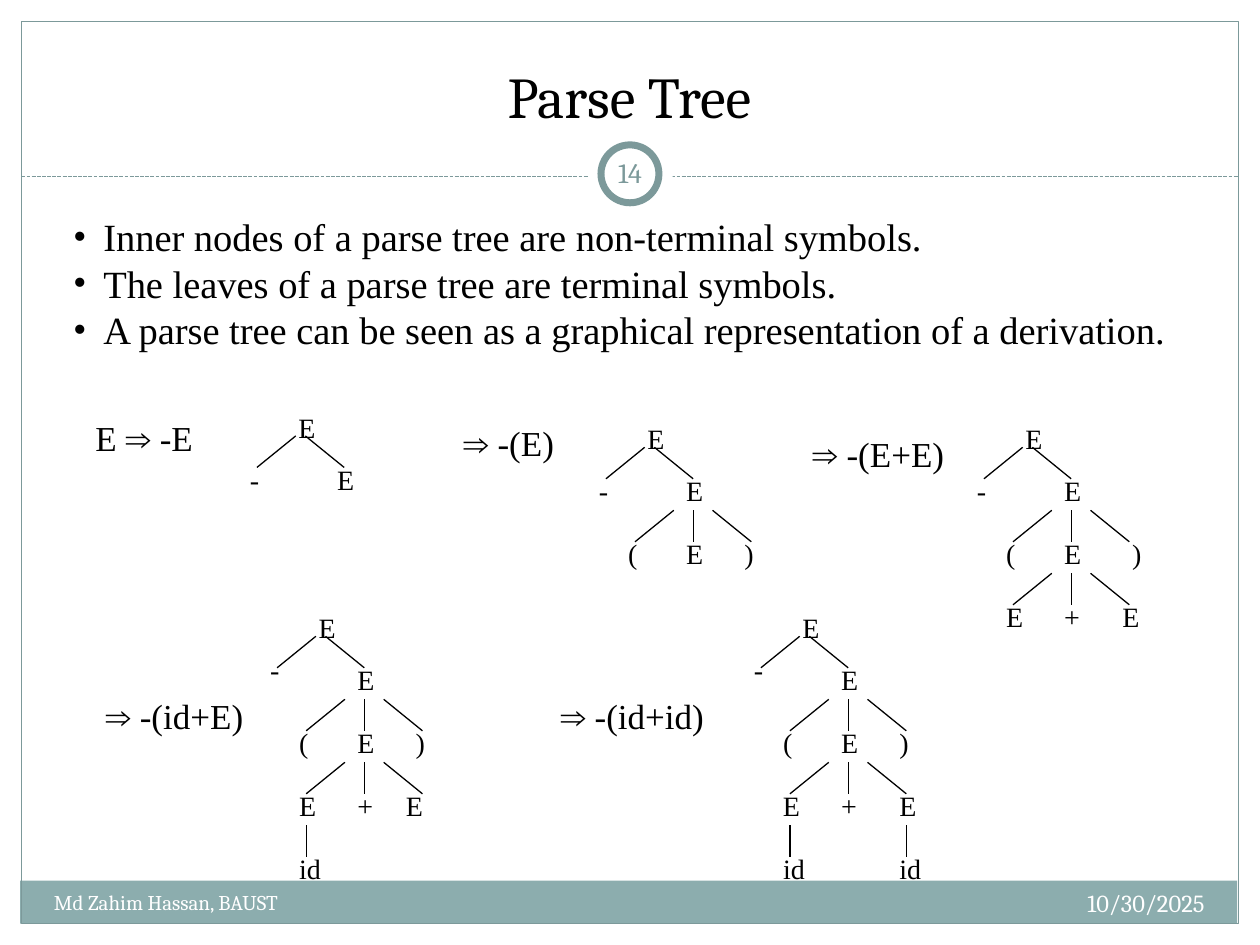
"""Build the parse tree slide: rules of a parse tree and five derivation steps."""
from lxml.etree import SubElement
from pptx import Presentation
from pptx.dml.color import RGBColor
from pptx.enum.dml import MSO_LINE
from pptx.enum.shapes import MSO_CONNECTOR as CONN, MSO_SHAPE as SHAPE
from pptx.enum.text import MSO_ANCHOR as ANCHOR, MSO_AUTO_SIZE as AUTO, PP_ALIGN as ALIGN
from pptx.oxml.ns import qn
from pptx.util import Inches, Pt

BLACK = RGBColor(0x00, 0x00, 0x00)
WHITE = RGBColor(0xFF, 0xFF, 0xFF)
TEAL = RGBColor(0x7C, 0x99, 0x9A)
BAND = RGBColor(0x8C, 0xAD, 0xAE)

prs = Presentation()
prs.slide_width, prs.slide_height = Inches(10), Inches(7.5)
X, ROW = prs.slide_width / 100, prs.slide_height / 30
COL = prs.slide_width / 130


def write(sp, lines, size, name="Times New Roman", color=BLACK, align=ALIGN.LEFT,
          anchor=ANCHOR.TOP, wrap=False):
    tf = sp.text_frame
    frame = {"word_wrap": wrap, "vertical_anchor": anchor,
             "auto_size": AUTO.NONE if wrap else AUTO.SHAPE_TO_FIT_TEXT}
    for key, value in frame.items():
        setattr(tf, key, value)
    tf.text = "\n".join(lines)
    for p in tf.paragraphs:
        p.alignment, p.space_before = align, Pt(0)
        for key, value in {"size": Pt(size), "name": name}.items():
            setattr(p.runs[0].font, key, value)
        p.runs[0].font.color.rgb = color


def add_line(shapes, x1, y1, x2, y2, color=BLACK):
    sp = shapes.add_connector(CONN.STRAIGHT, *map(round, (x1, y1, x2, y2)))
    SubElement(sp._element.spPr, qn("a:effectLst"))
    sp.line.width = Pt(0.75)
    sp.line.color.rgb = color
    return sp


s = prs.slides.add_slide(prs.slide_layouts[1])
title, body = s.placeholders

FRAME = [
    (SHAPE.RECTANGLE, 0, 0, 100, 6.08, WHITE, None, 0),
    (SHAPE.RECTANGLE, 0, 0, 1.7, 30, WHITE, None, 0),
    (SHAPE.RECTANGLE, 98.3, 0, 1.7, 30, WHITE, None, 0),
    (SHAPE.RECTANGLE, 1.6, 27.96, 96.6, 1.36, BAND, None, 0),
    (SHAPE.RECTANGLE, 1.7, 0.68, 96.6, 28.64, None, TEAL, 0.75),
    (SHAPE.OVAL, 46.7, 4.2, 6.7, 2.68, WHITE, None, 0),
    (SHAPE.OVAL, 47.7, 4.6, 4.6, 1.84, WHITE, TEAL, 4),
]
for kind, x, y, w, h, fill, line, width in FRAME:
    if kind == SHAPE.OVAL and line is None:
        rule = add_line(s.shapes, 1.7 * X, 5.6 * ROW, 98.3 * X, 5.6 * ROW, TEAL)
        rule.line.dash_style = MSO_LINE.SQUARE_DOT
    sp = s.shapes.add_shape(kind, *map(round, (x * X, y * ROW, w * X, h * ROW)))
    sp.shadow.inherit = False
    if fill is None:
        sp.fill.background()
    else:
        sp.fill.solid()
        sp.fill.fore_color.rgb = fill
    if line is None:
        sp.line.fill.background()
    else:
        sp.line.color.rgb = line
        sp.line.width = Pt(width)

for sp, box in ((title, (3.3, 1, 93.3, 3.32)), (body, (4.8, 6.56, 89.7, 4.84))):
    s.shapes._spTree.append(sp._element)
    sp.left, sp.top, sp.width, sp.height = (
        round(v * unit) for v, unit in zip(box, (X, ROW, X, ROW)))
write(title, ["Parse Tree"], 33, "Cambria", align=ALIGN.CENTER, anchor=ANCHOR.BOTTOM, wrap=True)

RULES = ["Inner nodes of a parse tree are non-terminal symbols.",
         "The leaves of a parse tree are terminal symbols.",
         "A parse tree can be seen as a graphical representation of a derivation."]
write(body, RULES, 22)
for p in body.text_frame.paragraphs:
    p.line_spacing = Pt(26.6)
    pPr = p._p.get_or_add_pPr()
    pPr.set("marL", str(Inches(0.24)))
    pPr.set("indent", str(-Inches(0.24)))
    SubElement(pPr, qn("a:buFont"), typeface="Times New Roman")
    SubElement(pPr, qn("a:buChar"), char="•")

CAMBRIA = {"name": "Cambria", "color": WHITE, "wrap": True}
NUMBER = {**CAMBRIA, "color": TEAL, "align": ALIGN.CENTER, "anchor": ANCHOR.MIDDLE}
TEXTS = [
    ("10/30/2025", 63.3, 28, 33.3, 1.6, 14, {**CAMBRIA, "align": ALIGN.RIGHT}),
    ("Md Zahim Hassan, BAUST", 3.3, 28.04, 39.2, 1.6, 12, CAMBRIA),
    ("14", 47.5, 4.52, 5, 1.92, 16, NUMBER),
    ("E ⇒ -E", 6.6, 13.04, 11.3, 1.76, 20, {}),
    ("⇒ -(E)", 35.8, 13.2, 10, 1.76, 20, {}),
    ("⇒ -(E+E)", 63.5, 13.52, 13.3, 1.76, 20, {}),
    ("⇒ -(id+E)", 7.4, 21.84, 13.8, 1.76, 20, {}),
    ("⇒ -(id+id)", 43.5, 21.84, 14.2, 1.76, 20, {}),
]
for text, x, y, w, h, size, fmt in TEXTS:
    sp = s.shapes.add_textbox(*map(round, (x * X, y * ROW, w * X, h * ROW)))
    if text == "14":
        for side in ("left", "right"):
            setattr(sp.text_frame, f"margin_{side}", Inches(0.05))
    write(sp, [text], size, **fmt)

LABEL_WIDTH = {"E": 3.4, "+": 3.3, "id": 3.8}
FORK = [(1, -3), (2, 6)]
FAN = [(4, 0), (6, 6), (8, 12)]
MINUS, LOW = ("-", -5), ("E", 4)
PARENS = [("(", -2), LOW, (")", 10)]
SUM = [("E", -2), ("+", 4), ("E", 10)]
TREES = [
    (22.7, 12.84, 1.65, [[MINUS, LOW]], [FORK]),
    (50.4, 13.2, 1.65, [[MINUS, LOW], PARENS], [FORK, FAN]),
    (80.4, 13.2, 1.65, [[MINUS, LOW], [*PARENS[:2], (")", 11)], SUM], [FORK, FAN, FAN]),
    (24.3, 19.2, 1.33, [[MINUS, LOW], PARENS, [*SUM[:2], ("E", 9)], [("id", -2)]],
     [FORK, FAN, FAN, [(0, 0)]]),
    (62.7, 19.2, 1.33, [[MINUS, LOW], PARENS, SUM, [("id", -2), ("id", 10)]],
     [FORK, FAN, FAN, [(0, 0), (12, 12)]]),
]
for x, y, minus_row, levels, branches in TREES:
    shapes = s.shapes.add_group_shape().shapes
    for depth, pairs in enumerate(branches):
        top = y + 1 + 2 * depth
        for start, end in pairs:
            add_line(shapes, x * X + start * COL, top * ROW, x * X + end * COL, (top + 1) * ROW)
    labels = [("E", 0, 0)]
    for depth, level in enumerate(levels):
        labels += [(text, col, minus_row if text == "-" else 1.65 + 2 * depth)
                   for text, col in level]
    for text, col, row in labels:
        sp = shapes.add_textbox(*map(round, (x * X + col * COL, (y + row) * ROW,
                                             LABEL_WIDTH.get(text, 2.8) * X, 1.48 * ROW)))
        write(sp, [text], 16)

prs.save("out.pptx")
